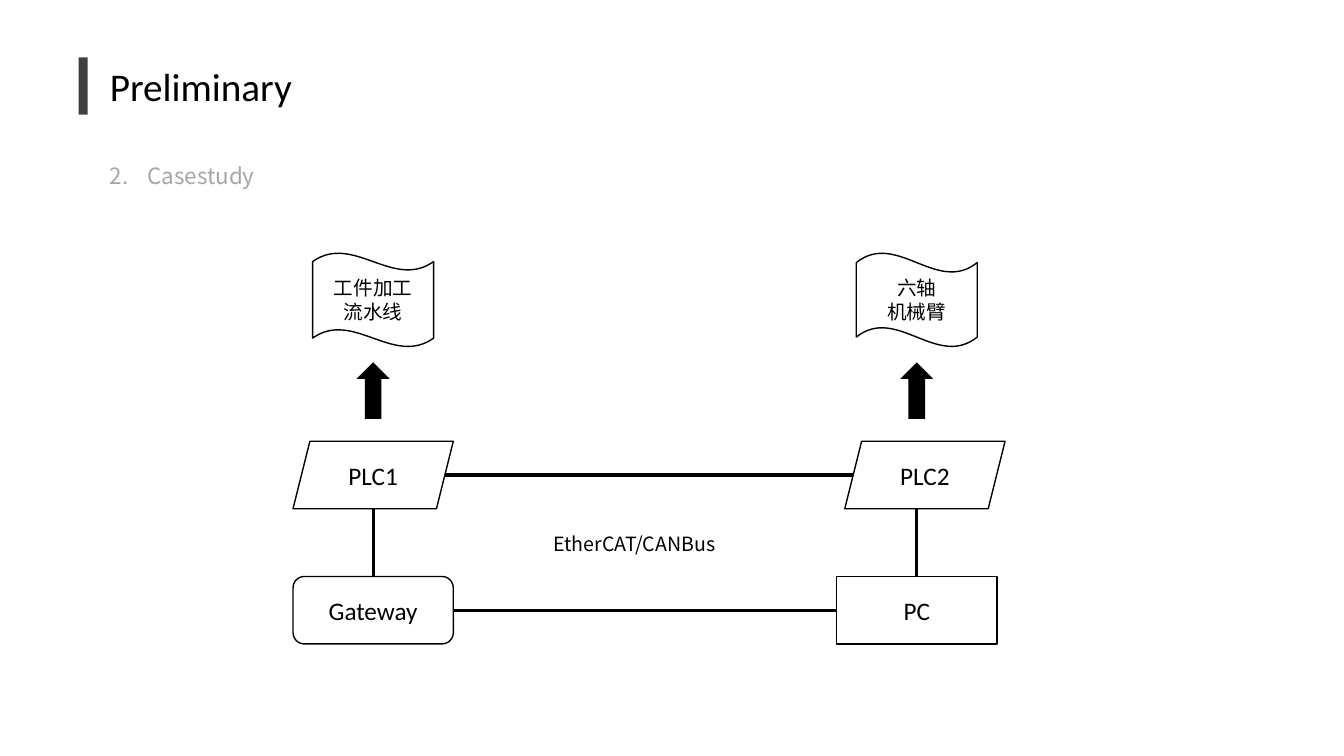
from pptx import Presentation
from pptx.dml.color import RGBColor
from pptx.enum.shapes import MSO_CONNECTOR, MSO_SHAPE as SHAPE
from pptx.enum.text import MSO_ANCHOR as ANCHOR, MSO_AUTO_SIZE as AUTO, PP_ALIGN as ALIGN
from pptx.oxml.ns import qn
from pptx.util import Pt
from lxml import etree

BLACK = RGBColor(0x00, 0x00, 0x00)
WHITE = RGBColor(0xFF, 0xFF, 0xFF)
DARK = RGBColor(0x40, 0x40, 0x40)
GRAY = RGBColor(0xA6, 0xA6, 0xA6)
LATIN, CJK = "Calibri", "Noto Sans CJK SC"


def write(sp, text, size, font, color=BLACK, align=ALIGN.LEFT, anchor=ANCHOR.TOP):
    tf = sp.text_frame
    tf.text = text
    tf.word_wrap = True
    tf.auto_size = AUTO.NONE
    tf.vertical_anchor = anchor
    for p in tf.paragraphs:
        p.alignment = align
        p.font.size, p.font.name, p.font.color.rgb = Pt(size), font, color
        latin = p.font._element.find(qn("a:latin"))
        latin.addnext(latin.makeelement(qn("a:ea"), {"typeface": CJK}))
    return tf


def add_block(kind, x, y, w, h, fill=WHITE, outlined=True):
    sp = s.shapes.add_shape(kind, Pt(x), Pt(y), Pt(w), Pt(h))
    sp.shadow.inherit = False
    sp.fill.solid()
    sp.fill.fore_color.rgb = fill
    if outlined:
        sp.line.color.rgb = BLACK
        sp.line.width = Pt(1)
    else:
        sp.line.fill.background()
    return sp


prs = Presentation()
prs.slide_width, prs.slide_height = Pt(960), Pt(540)
s = prs.slides.add_slide(prs.slide_layouts[5])

# Title with its bar
title = s.shapes.title
title.left, title.top, title.width, title.height = Pt(71.3), Pt(41), Pt(185), Pt(41)
write(title, "Preliminary", 28, LATIN)
add_block(SHAPE.RECTANGLE, 56.2, 41, 6.5, 41, DARK, outlined=False)

# Numbered heading
heading = s.shapes.add_textbox(Pt(71.3), Pt(92.9), Pt(775.4), Pt(79.2))
p = write(heading, "Casestudy", 16, CJK, GRAY).paragraphs[0]
p.line_spacing = 2.0
pPr = p._p.get_or_add_pPr()
pPr.set("marL", str(Pt(27)))
pPr.set("indent", str(Pt(-27)))
number = etree.Element(qn("a:buAutoNum"), type="arabicPeriod", startAt="2")
pPr.find(qn("a:defRPr")).addprevious(number)

# Network nodes
NODE_W, NODE_H = 114.5, 48.2
PLC_Y, HOST_Y = 315.2, 411.8
LEFT_X, RIGHT_X = 209.3, 597.6
for kind, text, x, y in [
    (SHAPE.ROUNDED_RECTANGLE, "Gateway", LEFT_X, HOST_Y),
    (SHAPE.RECTANGLE, "PC", RIGHT_X, HOST_Y),
    (SHAPE.PARALLELOGRAM, "PLC1", LEFT_X, PLC_Y),
    (SHAPE.PARALLELOGRAM, "PLC2", RIGHT_X + 5.8, PLC_Y),
]:
    node = add_block(kind, x, y, NODE_W, NODE_H)
    write(node, text, 18, LATIN, align=ALIGN.CENTER, anchor=ANCHOR.MIDDLE)

# Bus lines between the nodes
left_mid, right_mid = LEFT_X + NODE_W / 2, RIGHT_X + NODE_W / 2
plc_mid, host_mid = PLC_Y + NODE_H / 2, HOST_Y + NODE_H / 2
for x1, y1, x2, y2 in [
    (LEFT_X + NODE_W, host_mid, RIGHT_X, host_mid),
    (LEFT_X + NODE_W - 6, plc_mid, RIGHT_X + 11.8, plc_mid),
    (left_mid, PLC_Y + NODE_H, left_mid, HOST_Y),
    (right_mid, PLC_Y + NODE_H, right_mid, HOST_Y),
]:
    bus = s.shapes.add_connector(MSO_CONNECTOR.STRAIGHT, Pt(x1), Pt(y1), Pt(x2), Pt(y2))
    bus.line.color.rgb = BLACK
    bus.line.width = Pt(2.25)
    etree.SubElement(bus._element.spPr, qn("a:effectLst"))

bus_label = s.shapes.add_textbox(Pt(388.1), Pt(376.6), Pt(182.9), Pt(24.5))
write(bus_label, "EtherCAT/CANBus", 14, CJK)

# Controlled machines, each with an arrow from its PLC
for text, mid, bend in [
    ("工件加工\n流水线", left_mid, 0.092),
    ("六轴\n机械臂", right_mid, 0.103),
]:
    arrow = add_block(SHAPE.RIGHT_ARROW, mid - 20.2, 267.1, 40.4, 23.8, BLACK, outlined=False)
    arrow.rotation = 270
    machine = add_block(SHAPE.WAVE, mid - 43.2, 180.7, 86.4, 67)
    machine.adjustments[0] = bend
    machine.adjustments[1] = 0
    write(machine, text, 14, CJK, align=ALIGN.CENTER, anchor=ANCHOR.MIDDLE)

prs.save("out.pptx")
